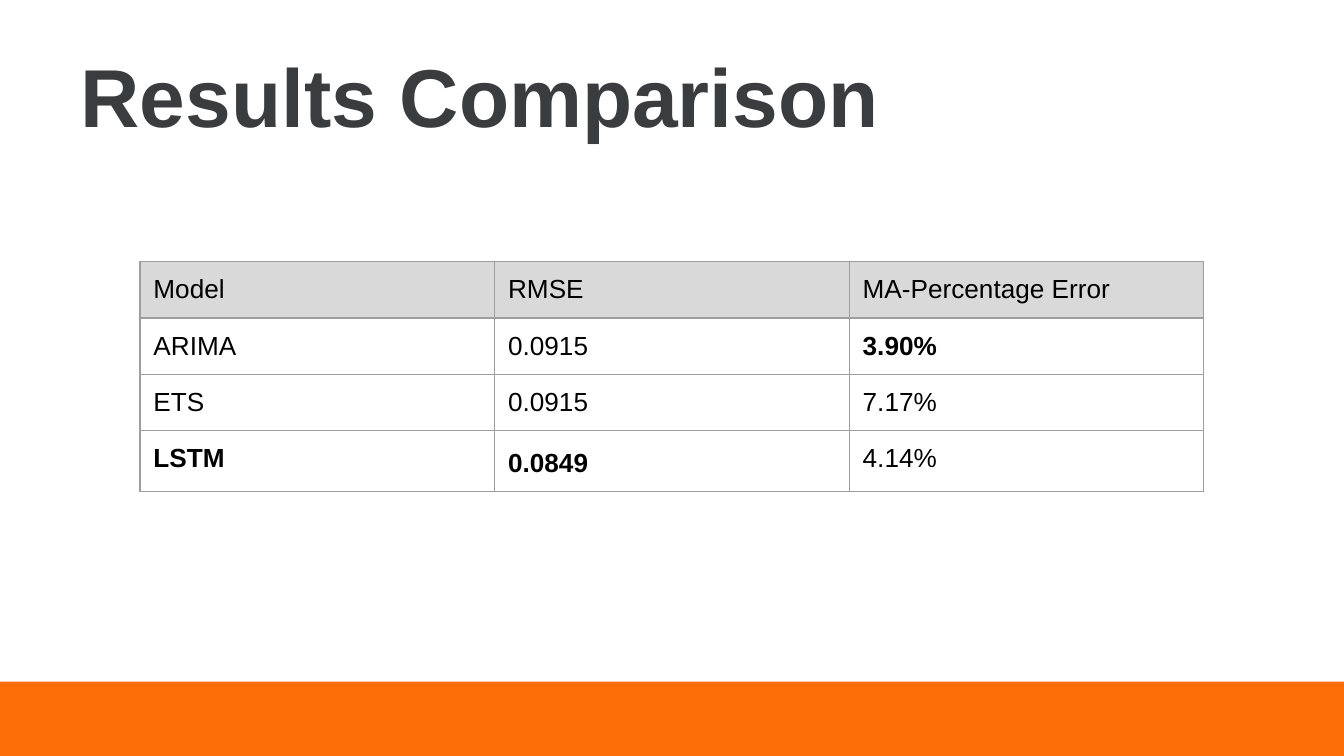
"""Build the slide that compares forecast errors of three models."""

from dataclasses import dataclass

from lxml.etree import SubElement
from pptx import Presentation
from pptx.dml.color import RGBColor
from pptx.enum.shapes import MSO_SHAPE
from pptx.enum.text import MSO_ANCHOR, PP_ALIGN
from pptx.oxml.ns import qn
from pptx.slide import Slide
from pptx.table import _Cell
from pptx.text.text import TextFrame
from pptx.util import Pt

ORANGE = RGBColor(0xFD, 0x6D, 0x08)
CHARCOAL = RGBColor(0x3B, 0x3C, 0x3E)
BLACK = RGBColor(0x00, 0x00, 0x00)
HEADER_GRAY = RGBColor(0xD9, 0xD9, 0xD9)
BORDER_GRAY = RGBColor(0x9E, 0x9E, 0x9E)

SLIDE_WIDTH, SLIDE_HEIGHT = 720, 405
FOOTER_TOP = 365.2
COLUMN_WIDTH, ROW_HEIGHT = 190, 30.2
INSET = 7.2


@dataclass(frozen=True)
class Entry:
    text: str
    bold: bool = False
    spacing: float = 1.0


RESULTS = [
    [Entry("Model"), Entry("RMSE"), Entry("MA-Percentage Error")],
    [Entry("ARIMA"), Entry("0.0915"), Entry("3.90%", bold=True)],
    [Entry("ETS"), Entry("0.0915"), Entry("7.17%")],
    [Entry("LSTM", bold=True), Entry("0.0849", bold=True, spacing=1.15), Entry("4.14%")],
]


def write(frame: TextFrame, text: str, *, size: float, color: RGBColor,
          bold: bool = False, spacing: float = 1.0) -> None:
    """Put one left-aligned paragraph in a text frame."""
    paragraph = frame.paragraphs[0]
    paragraph.alignment = PP_ALIGN.LEFT
    paragraph.line_spacing = spacing
    run = paragraph.add_run()
    run.text = text
    run.font.name = "Arial"
    run.font.size = Pt(size)
    run.font.bold = bold
    run.font.color.rgb = color


def add_footer(slide: Slide) -> None:
    """Draw the orange band along the bottom edge."""
    footer = slide.shapes.add_shape(
        MSO_SHAPE.RECTANGLE, Pt(0), Pt(FOOTER_TOP),
        Pt(SLIDE_WIDTH), Pt(SLIDE_HEIGHT - FOOTER_TOP))
    footer.shadow.inherit = False
    footer.fill.solid()
    footer.fill.fore_color.rgb = ORANGE
    footer.line.fill.background()


def format_title(slide: Slide, text: str) -> None:
    """Place and fill the title placeholder."""
    title = slide.shapes.title
    title.left, title.top, title.width, title.height = Pt(36), Pt(16.6), Pt(648), Pt(67.7)
    frame = title.text_frame
    frame.word_wrap = True
    frame.vertical_anchor = MSO_ANCHOR.MIDDLE
    frame.margin_left = frame.margin_right = Pt(INSET)
    frame.margin_top = frame.margin_bottom = Pt(INSET)
    write(frame, text, size=44, color=CHARCOAL, bold=True)


def add_borders(cell: _Cell) -> None:
    """Outline a cell on all four sides."""
    properties = cell._tc.get_or_add_tcPr()
    for side in ("a:lnL", "a:lnR", "a:lnT", "a:lnB"):
        line = SubElement(properties, qn(side), w=str(Pt(0.75)))
        fill = SubElement(line, qn("a:solidFill"))
        SubElement(fill, qn("a:srgbClr"), val=str(BORDER_GRAY))


def fill_cell(cell: _Cell, entry: Entry, is_header: bool) -> None:
    """Write and format one table cell."""
    cell.margin_left = cell.margin_right = Pt(INSET)
    cell.margin_top = cell.margin_bottom = Pt(INSET)
    cell.vertical_anchor = MSO_ANCHOR.TOP
    add_borders(cell)
    if is_header:
        cell.fill.solid()
        cell.fill.fore_color.rgb = HEADER_GRAY
    else:
        cell.fill.background()
    write(cell.text_frame, entry.text, size=14, color=BLACK,
          bold=entry.bold, spacing=entry.spacing)


def add_results(slide: Slide, entries: list[list[Entry]]) -> None:
    """Add the table of models and their errors."""
    row_count, column_count = len(entries), len(entries[0])
    results = slide.shapes.add_table(
        row_count, column_count, Pt(75), Pt(140.2),
        Pt(COLUMN_WIDTH * column_count), Pt(ROW_HEIGHT * row_count)).table
    results.first_row = False
    results.horz_banding = False
    for row_index, row in enumerate(entries):
        for column_index, entry in enumerate(row):
            fill_cell(results.cell(row_index, column_index), entry, row_index == 0)


def main() -> None:
    """Assemble and save the slide."""
    deck = Presentation()
    deck.slide_width, deck.slide_height = Pt(SLIDE_WIDTH), Pt(SLIDE_HEIGHT)
    slide = deck.slides.add_slide(deck.slide_layouts[5])
    add_footer(slide)
    format_title(slide, "Results Comparison")
    add_results(slide, RESULTS)
    deck.save("out.pptx")


if __name__ == "__main__":
    main()
